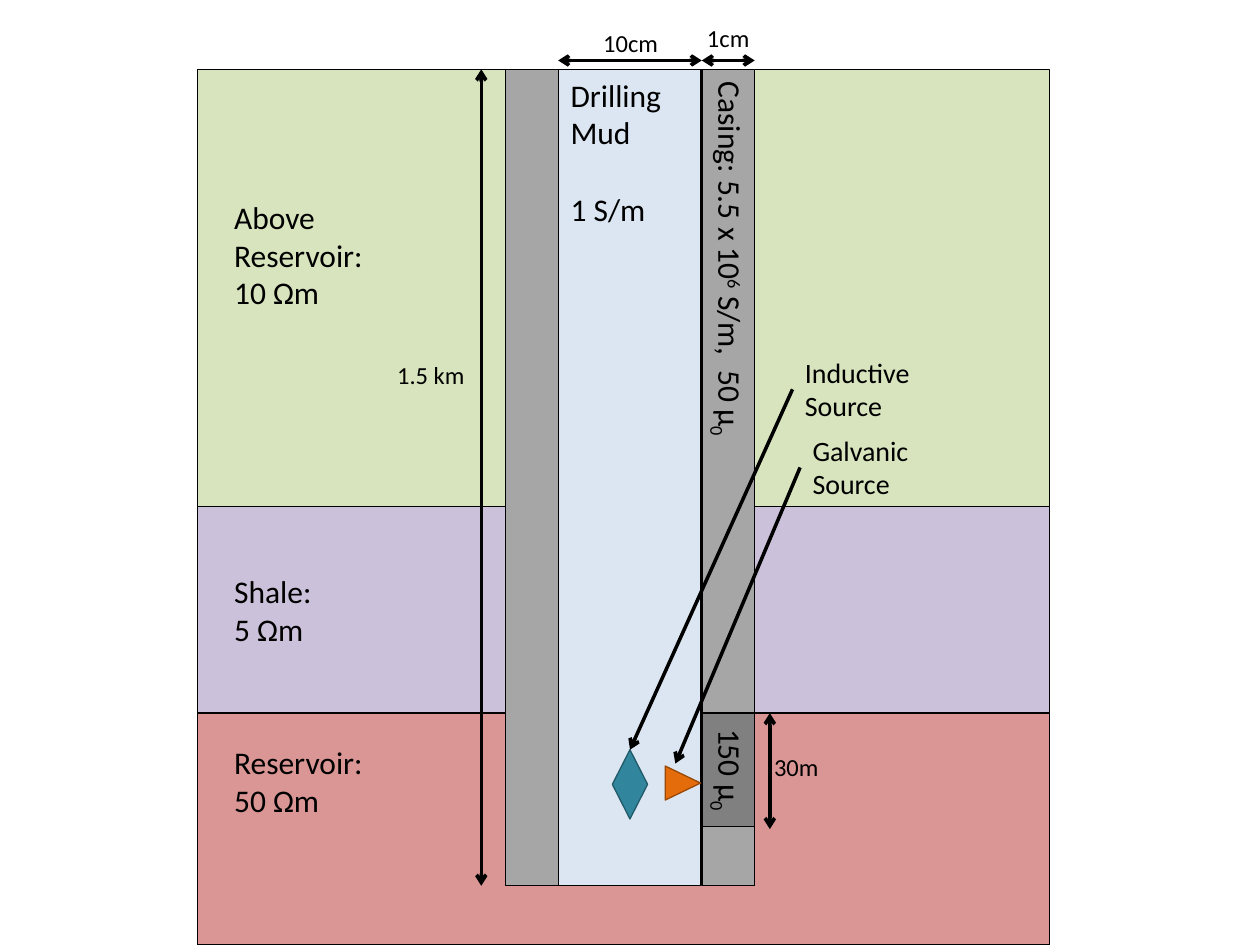
from lxml import etree
from pptx import Presentation
from pptx.dml.color import RGBColor
from pptx.enum.shapes import MSO_CONNECTOR, MSO_SHAPE
from pptx.enum.text import MSO_ANCHOR, PP_ALIGN
from pptx.oxml.ns import qn
from pptx.util import Pt

PX = 9144  # 100 px to the inch
RECT, TRI, GEM = MSO_SHAPE.RECTANGLE, MSO_SHAPE.ISOSCELES_TRIANGLE, MSO_SHAPE.DIAMOND
LEFT, MID = PP_ALIGN.LEFT, PP_ALIGN.CENTER
TOP, CORE = MSO_ANCHOR.TOP, MSO_ANCHOR.MIDDLE
FONT = "Calibri"
COLORS = {
    "black": "000000", "shale": "CCC1DA", "rock": "D99694", "above": "D7E4BD",
    "mud": "DCE6F2", "steel": "A6A6A6", "dark": "808080",
    "orange": "E46C0A", "brown": "984807", "teal": "31859C", "deep": "215968",
}

# Ground: colour and height of each layer, from the surface down
GROUND = (157, 55, 676)  # left, top, width
LAYERS = [("above", 347), ("shale", 164), ("rock", 184)]

# Well: left, width
SURFACE, DEPTH = 55, 648
MUD = (443, 113)
WALL = 42
WALLS = [MUD[0] - WALL, sum(MUD) + 1]

# Text: a paragraph is a list of (words, baseline shift in %)
MUD_TEXT = [[("Drilling Mud", 0)], [("1 S/m", 0)]]
CASING = [[("Casing: 5.5 x 10", 0), ("6", 30), (" S/m,  50 μ", 0), ("0", -25)]]
MAGNET = [[("150 μ", 0), ("0", -25)]]

# Labels: left, top, width, height, size, lines
LABELS = [
    (176, 152, 136, 101, 18, ["Above Reservoir:", "10 Ωm"]),
    (176, 449, 136, 71, 18, ["Shale:", "5 Ωm"]),
    (176, 585, 136, 71, 18, ["Reservoir:", "50 Ωm"]),
    (629, 277, 114, 64, 16, ["Inductive Source"]),
    (635, 339, 118, 64, 16, ["Galvanic Source"]),
]
# Measures: left, top, width, height, text
SIZES = [
    (300, 281, 84, 34, "1.5 km"),
    (457, 17, 87, 34, "10cm"),
    (551, 13, 54, 34, "1cm"),
    (590, 592, 84, 34, "30m"),
]
# Arrows: start x, y, end x, y, arrowheads
ARROWS = [
    (382, 55, 382, 703, ("head", "tail")),
    (443, 48, 557, 48, ("head", "tail")),
    (557, 48, 599, 48, ("head", "tail")),
    (611, 566, 611, 658, ("head", "tail")),
    (629, 309, 500, 595, ("tail",)),
    (635, 371, 536, 606, ("tail",)),
]


def rgb(name):
    return RGBColor.from_string(COLORS[name])


def emu(*box):
    return [n * PX for n in box]


def write(shape, paras, size=18, align=LEFT, anchor=TOP, wrap=True, gap=0):
    frame = shape.text_frame
    frame.word_wrap, frame.vertical_anchor = wrap, anchor
    for i, runs in enumerate(paras):
        para = frame.add_paragraph() if i else frame.paragraphs[0]
        para.alignment = align
        para.space_before = Pt(gap if i else 0)
        for words, shift in runs:
            run = para.add_run()
            run.text = words
            run.font.name, run.font.size = FONT, Pt(size)
            run.font.color.rgb = rgb("black")
            if shift:
                run._r.get_or_add_rPr().set("baseline", str(shift * 1000))


def draw(kind, box, fill, edge="black", turn=False):
    """Draw a shape that fills the box; turn sets it a quarter round."""
    x, y, w, h = box
    if turn:
        x, y, w, h = x + (w - h) / 2, y + (h - w) / 2, h, w
    shape = slide.shapes.add_shape(kind, *[round(n) for n in emu(x, y, w, h)])
    shape.rotation = 90 if turn else 0
    shape.shadow.inherit = False
    shape.fill.solid()
    shape.fill.fore_color.rgb = rgb(fill)
    shape.line.color.rgb = rgb(edge)
    shape.line.width = Pt(0.75)
    return shape


def arrow(x1, y1, x2, y2, ends):
    link = slide.shapes.add_connector(MSO_CONNECTOR.STRAIGHT, *emu(x1, y1, x2, y2))
    link.line.color.rgb = rgb("black")
    link.line.width = Pt(2)
    props = link._element.spPr
    for end in ends:
        etree.SubElement(props.find(qn("a:ln")), qn(f"a:{end}End"), type="arrow")
    etree.SubElement(props, qn("a:effectLst"))


deck = Presentation()
deck.slide_width, deck.slide_height = emu(1000, 750)
slide = deck.slides.add_slide(deck.slide_layouts[6])

# Ground layers
left, y, width = GROUND
for fill, high in LAYERS:
    draw(RECT, (left, y, width, high), fill)
    y += high

# Well: mud, casing walls and magnetic section
mud = draw(RECT, (MUD[0], SURFACE, MUD[1], DEPTH), "mud")
write(mud, MUD_TEXT, gap=22)
walls = [draw(RECT, (x, SURFACE, WALL, DEPTH), "steel", turn=True) for x in WALLS]
write(walls[1], CASING, anchor=CORE)
part = draw(RECT, (WALLS[1], 566, WALL, 90), "dark", turn=True)
write(part, MAGNET, align=MID, anchor=CORE)

# Sources
draw(TRI, (528, 608, 28, 27), "orange", "brown", turn=True)
draw(GEM, (486, 595, 28, 55), "teal", "deep")

# Labels and measures
for *box, size, lines in LABELS:
    write(slide.shapes.add_textbox(*emu(*box)), [[(s, 0)] for s in lines], size=size)
for *box, words in SIZES:
    write(slide.shapes.add_textbox(*emu(*box)), [[(words, 0)]],
          size=14, align=MID, wrap=False)

# Arrows
for item in ARROWS:
    arrow(*item)

deck.save("out.pptx")
